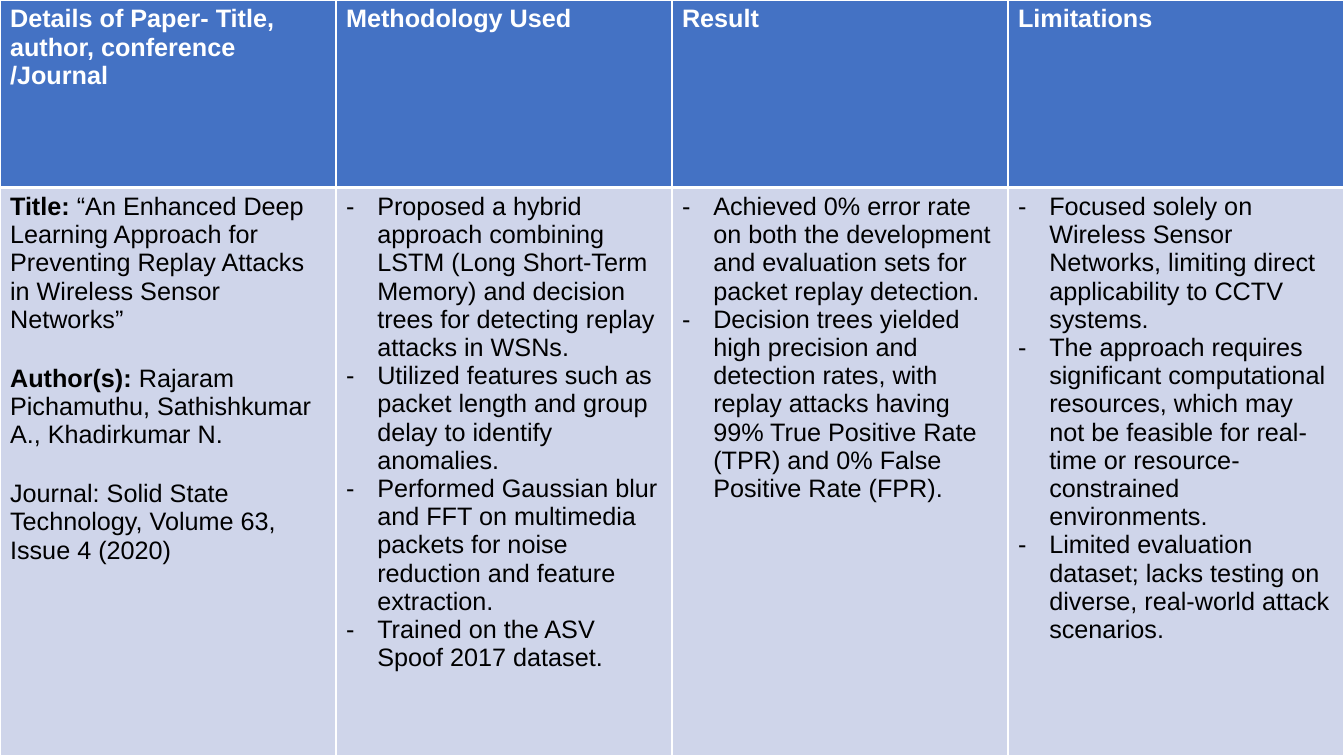
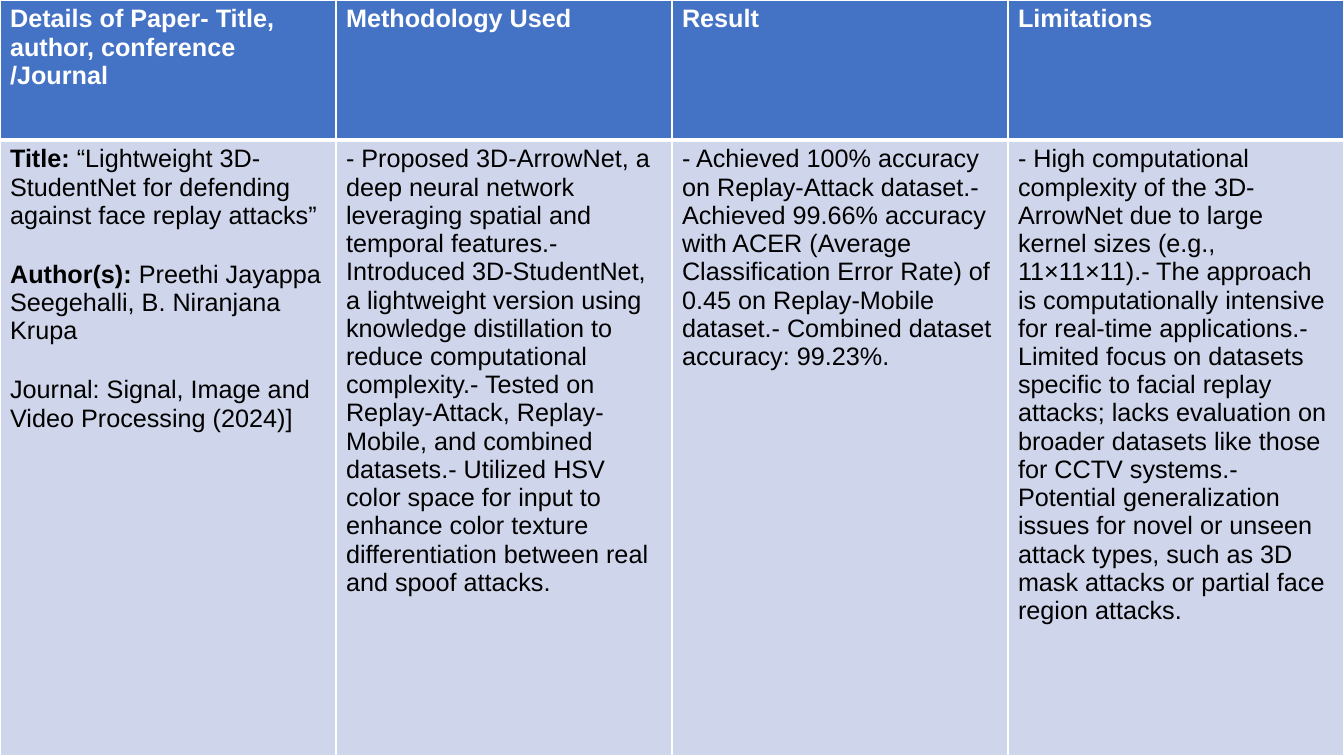
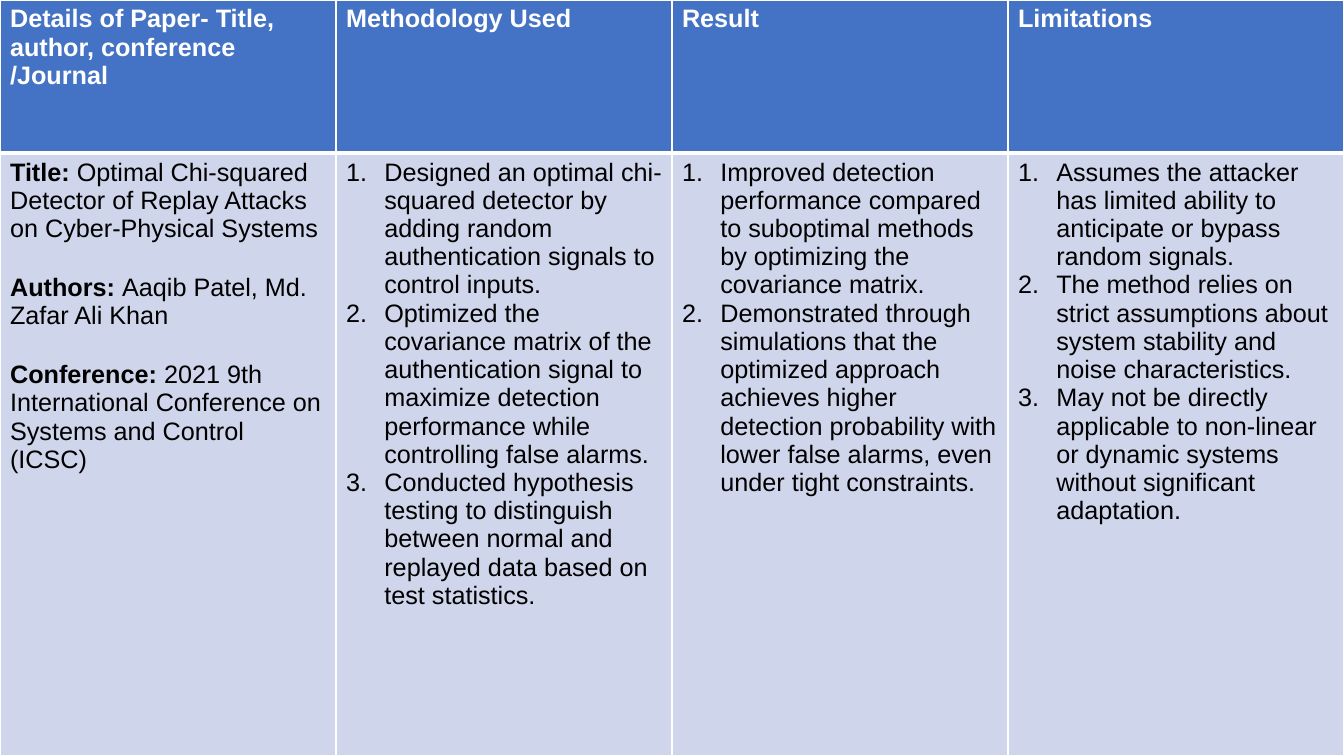
from dataclasses import dataclass

from lxml import etree
from pptx import Presentation
from pptx.dml.color import RGBColor
from pptx.oxml.ns import qn
from pptx.util import Inches, Pt

SLIDE_W, SLIDE_H = 13.33, 7.5
DASH, NUMBER = "dash", "number"


@dataclass(frozen=True)
class Theme:
    font: str = "Arial"
    size: float = 18
    paragraph_gap: float = 22
    header_fill: str = "4472C4"
    header_text: str = "FFFFFF"
    body_fill: str = "CFD5EA"
    body_text: str = "000000"
    border: str = "FFFFFF"
    thin: float = 1
    thick: float = 3


THEME = Theme()

# List style: indent in inches, bullet element, its attributes
LISTS = {
    DASH: (0.31, "a:buChar", {"char": "-"}),
    NUMBER: (0.38, "a:buAutoNum", {"type": "arabicPeriod"}),
}

HEADERS = [
    "Details of Paper- Title, author, conference /Journal",
    "Methodology Used",
    "Result",
    "Limitations",
]

# One entry per slide: header height, (label, text) details, list style, columns
PAPERS = [
    {
        "header_h": 1.86,
        "details": [
            ("Title: ", "“An Enhanced Deep Learning Approach for Preventing Replay Attacks in Wireless Sensor Networks”"),
            ("Author(s): ", "Rajaram Pichamuthu, Sathishkumar A., Khadirkumar N."),
            ("", "Journal: Solid State Technology, Volume 63, Issue 4 (2020)"),
        ],
        "list": DASH,
        "columns": [
            [
                "Proposed a hybrid approach combining LSTM (Long Short-Term Memory) and decision trees for detecting replay attacks in WSNs.",
                "Utilized features such as packet length and group delay to identify anomalies.",
                "Performed Gaussian blur and FFT on multimedia packets for noise reduction and feature extraction.",
                "Trained on the ASV Spoof 2017 dataset.",
            ],
            [
                "Achieved 0% error rate on both the development and evaluation sets for packet replay detection.",
                "Decision trees yielded high precision and detection rates, with replay attacks having 99% True Positive Rate (TPR) and 0% False Positive Rate (FPR).",
            ],
            [
                "Focused solely on Wireless Sensor Networks, limiting direct applicability to CCTV systems.",
                "The approach requires significant computational resources, which may not be feasible for real-time or resource-constrained environments.",
                "Limited evaluation dataset; lacks testing on diverse, real-world attack scenarios.",
            ],
        ],
    },
    {
        "header_h": 1.39,
        "details": [
            ("Title: ", "“Lightweight 3D-StudentNet for defending against face replay attacks”"),
            ("Author(s): ", "Preethi Jayappa Seegehalli, B. Niranjana Krupa"),
            ("", "Journal: Signal, Image and Video Processing (2024)]"),
        ],
        "list": None,
        "columns": [
            [
                "- Proposed 3D-ArrowNet, a deep neural network leveraging spatial and temporal features."
                "- Introduced 3D-StudentNet, a lightweight version using knowledge distillation to reduce computational complexity."
                "- Tested on Replay-Attack, Replay-Mobile, and combined datasets."
                "- Utilized HSV color space for input to enhance color texture differentiation between real and spoof attacks.",
            ],
            [
                "- Achieved 100% accuracy on Replay-Attack dataset."
                "- Achieved 99.66% accuracy with ACER (Average Classification Error Rate) of 0.45 on Replay-Mobile dataset."
                "- Combined dataset accuracy: 99.23%.",
            ],
            [
                "- High computational complexity of the 3D-ArrowNet due to large kernel sizes (e.g., 11×11×11)."
                "- The approach is computationally intensive for real-time applications."
                "- Limited focus on datasets specific to facial replay attacks; lacks evaluation on broader datasets like those for CCTV systems."
                "- Potential generalization issues for novel or unseen attack types, such as 3D mask attacks or partial face region attacks.",
            ],
        ],
    },
    {
        "header_h": 1.52,
        "details": [
            ("Title: ", "Optimal Chi-squared Detector of Replay Attacks on Cyber-Physical Systems"),
            ("Authors: ", "Aaqib Patel, Md. Zafar Ali Khan"),
            ("Conference: ", "2021 9th International Conference on Systems and Control (ICSC)"),
        ],
        "list": NUMBER,
        "columns": [
            [
                "Designed an optimal chi-squared detector by adding random authentication signals to control inputs.",
                "Optimized the covariance matrix of the authentication signal to maximize detection performance while controlling false alarms.",
                "Conducted hypothesis testing to distinguish between normal and replayed data based on test statistics.",
            ],
            [
                "Improved detection performance compared to suboptimal methods by optimizing the covariance matrix.",
                "Demonstrated through simulations that the optimized approach achieves higher detection probability with lower false alarms, even under tight constraints.",
            ],
            [
                "Assumes the attacker has limited ability to anticipate or bypass random signals.",
                "The method relies on strict assumptions about system stability and noise characteristics.",
                "May not be directly applicable to non-linear or dynamic systems without significant adaptation.",
            ],
        ],
    },
]


def add_run(p, text, color, bold=False):
    r = p.add_run()
    r.text = text
    r.font.name = THEME.font
    r.font.size = Pt(THEME.size)
    r.font.bold = bold
    r.font.color.rgb = RGBColor.from_string(color)


def style_cell(cell, fill, top, bottom):
    cell.fill.solid()
    cell.fill.fore_color.rgb = RGBColor.from_string(fill)
    # Borders come before the fill in the cell properties
    tc_pr = cell.fill._xPr
    edges = [("L", THEME.thin), ("R", THEME.thin), ("T", top), ("B", bottom)]
    for i, (side, width) in enumerate(edges):
        ln = etree.Element(qn(f"a:ln{side}"), w=str(Pt(width)))
        solid = etree.SubElement(ln, qn("a:solidFill"))
        etree.SubElement(solid, qn("a:srgbClr"), val=THEME.border)
        tc_pr.insert(i, ln)


def next_paragraph(tf, i):
    return tf.add_paragraph() if i else tf.paragraphs[0]


def set_list(p, style):
    indent, tag, attrs = LISTS[style]
    p_pr = p._p.get_or_add_pPr()
    p_pr.set("marL", str(Inches(indent)))
    p_pr.set("indent", str(-Inches(indent)))
    etree.SubElement(p_pr, qn("a:buFont"), typeface=THEME.font)
    etree.SubElement(p_pr, qn(tag), **attrs)


def fill_header(cell, text):
    style_cell(cell, THEME.header_fill, THEME.thin, THEME.thick)
    add_run(cell.text_frame.paragraphs[0], text, THEME.header_text, bold=True)


def fill_details(cell, details):
    style_cell(cell, THEME.body_fill, THEME.thick, THEME.thin)
    for i, (label, text) in enumerate(details):
        p = next_paragraph(cell.text_frame, i)
        if i:
            p.space_before = Pt(THEME.paragraph_gap)
        if label:
            add_run(p, label, THEME.body_text, bold=True)
        add_run(p, text, THEME.body_text)


def fill_points(cell, points, style):
    style_cell(cell, THEME.body_fill, THEME.thick, THEME.thin)
    for i, text in enumerate(points):
        p = next_paragraph(cell.text_frame, i)
        if style:
            set_list(p, style)
        add_run(p, text, THEME.body_text)


def add_review_table(slide, paper, left, top, width, height):
    cols = len(HEADERS)
    frame = slide.shapes.add_table(
        2, cols, Inches(left), Inches(top), Inches(width), Inches(height))
    table = frame.table
    table.horz_banding = False
    for col in table.columns:
        col.width = Inches(width / cols)
    table.rows[0].height = Inches(paper["header_h"])
    table.rows[1].height = Inches(height - paper["header_h"])

    # Header row
    for c, text in enumerate(HEADERS):
        fill_header(table.cell(0, c), text)

    # Paper details, then method, result and limitations
    fill_details(table.cell(1, 0), paper["details"])
    for c, points in enumerate(paper["columns"], start=1):
        fill_points(table.cell(1, c), points, paper["list"])


def main():
    prs = Presentation()
    prs.slide_width, prs.slide_height = Inches(SLIDE_W), Inches(SLIDE_H)
    for paper in PAPERS:
        slide = prs.slides.add_slide(prs.slide_layouts[6])
        add_review_table(slide, paper, 0, 0, SLIDE_W, SLIDE_H)
    prs.save("out.pptx")


if __name__ == "__main__":
    main()
